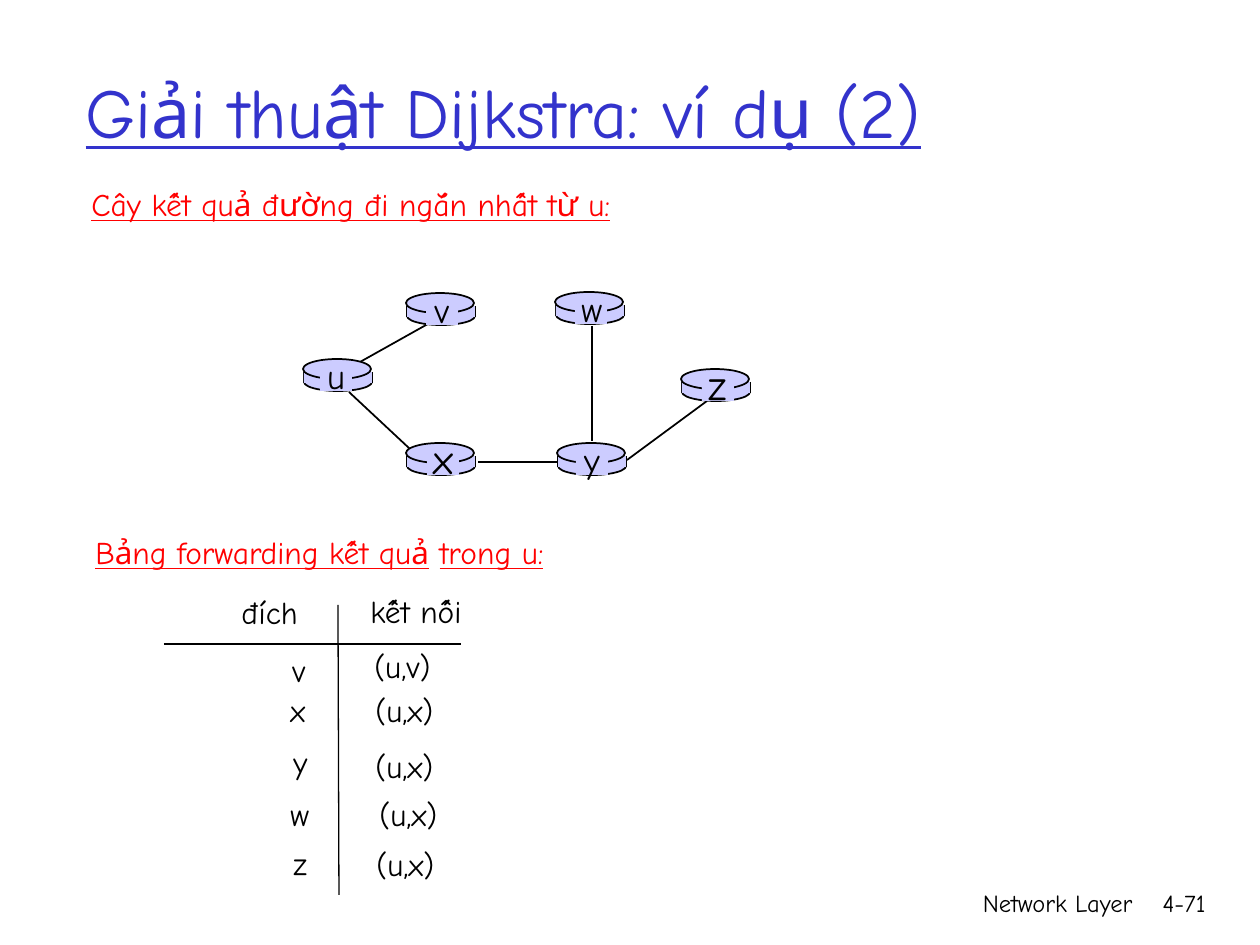
from pptx import Presentation
from pptx.dml.color import RGBColor
from pptx.enum.shapes import MSO_CONNECTOR, MSO_SHAPE
from pptx.enum.text import MSO_ANCHOR, MSO_AUTO_SIZE, PP_ALIGN
from pptx.oxml.ns import qn
from pptx.util import Pt
from lxml.etree import SubElement

PX = 914400 / 126
FONT = "Comic Neue"
BLACK = RGBColor(0x00, 0x00, 0x00)
BLUE = RGBColor(0x33, 0x33, 0xCC)
RED = RGBColor(0xFF, 0x00, 0x00)
LAVENDER = RGBColor(0xCC, 0xCC, 0xFF)

presentation = Presentation()
presentation.slide_width = round(1260 * PX)
presentation.slide_height = round(945 * PX)
slide = presentation.slides.add_slide(presentation.slide_layouts[5])


def add_text(box, pieces, size, color=BLACK, align=PP_ALIGN.LEFT, wrap=True, grow=True):
    """Write the pieces on one line; red headings are underlined except for gaps."""
    shape = slide.shapes.add_textbox(*(round(value * PX) for value in box))
    text_frame = shape.text_frame
    text_frame.word_wrap = wrap
    text_frame.auto_size = MSO_AUTO_SIZE.SHAPE_TO_FIT_TEXT if grow else MSO_AUTO_SIZE.NONE
    paragraph = text_frame.paragraphs[0]
    paragraph.alignment = align
    for piece in pieces:
        run = paragraph.add_run()
        run.text = piece
        run.font.name = FONT
        run.font.size = Pt(size)
        run.font.color.rgb = color
        if color == RED and piece.strip():
            run.font.underline = True


def add_line(points, width):
    connector = slide.shapes.add_connector(
        MSO_CONNECTOR.STRAIGHT, *(round(value * PX) for value in points))
    connector.line.color.rgb = BLACK
    connector.line.width = Pt(width)
    SubElement(connector._element.spPr, qn("a:effectLst"))


# Title
title = slide.shapes.title
title.left, title.top, title.width, title.height = (
    round(value * PX) for value in (73, 32, 1071, 158))
title.text_frame.text = "Giải thuật Dijkstra: ví dụ (2)"
title.text_frame.auto_size = MSO_AUTO_SIZE.NONE
title.text_frame.vertical_anchor = MSO_ANCHOR.MIDDLE
paragraph = title.text_frame.paragraphs[0]
paragraph.alignment = PP_ALIGN.LEFT
font = paragraph.runs[0].font
font.name = FONT
font.size = Pt(40)
font.underline = True
font.color.rgb = BLUE

# Footer
add_text((746, 882, 399, 63), ["Network Layer"], 14, align=PP_ALIGN.RIGHT, grow=False)
add_text((1125, 882, 93, 63), ["4-71"], 14, align=PP_ALIGN.RIGHT, grow=False)

# Headings
add_text((79, 179, 544, 50), ["Cây kết quả đường đi ngắn nhất từ u:"], 18, RED)
add_text((83, 527, 476, 50), ["Bảng forwarding kết quả", " ", "trong u:"], 18, RED)

# Shortest-path tree: links
links = [
    (360, 362, 435, 320),  # u-v
    (592, 326, 592, 441),  # w-y
    (627, 460, 707, 401),  # y-z
    (558, 462, 478, 462),  # y-x
    (410, 449, 349, 392),  # x-u
]
for link in links:
    add_line(link, 1)

# Shortest-path tree: routers as name, body left, body top, label centre, label size
routers = [
    ("u", 304, 372, 336, 20),
    ("x", 407, 456, 443, 24),
    ("v", 407, 306, 442, 20),
    ("w", 556, 305, 591, 20),
    ("y", 558, 456, 592, 20),
    ("z", 682, 382, 718, 24),
]
for name, left, top, center, size in routers:
    for side in (left, left + 68):
        add_line((side, top, side, top + 11), 1)
    parts = [
        (MSO_SHAPE.OVAL, (left, top + 1, 68, 18), True),
        (MSO_SHAPE.RECTANGLE, (left, top, 68, 11), False),
        (MSO_SHAPE.OVAL, (left - 1, top - 13, 68, 20), True),
        (MSO_SHAPE.RECTANGLE, (center - 16, top - 10, 32, 29), False),
    ]
    for kind, box, outlined in parts:
        shape = slide.shapes.add_shape(kind, *(round(value * PX) for value in box))
        shape.shadow.inherit = False
        shape.fill.solid()
        shape.fill.fore_color.rgb = LAVENDER
        if outlined:
            shape.line.color.rgb = BLACK
            shape.line.width = Pt(1)
        else:
            shape.line.fill.background()
    rise, height = (24, 55) if size == 20 else (30, 63)
    add_text((center - 22, top - rise, 44, height), [name], size,
             align=PP_ALIGN.CENTER, wrap=False)

# Forwarding table: rules
add_line((338, 605, 339, 895), 0.75)
add_line((164, 644, 461, 644), 0.75)

# Forwarding table: header and rows, each cell as text, left, top
add_text((229, 587, 82, 50), ["đích"], 18)
add_text((358, 586, 117, 50), ["kết nối"], 18)
rows = [
    (("v", 280, 645), ("(u,v)", 362, 641)),
    (("x", 278, 685), ("(u,x)", 363, 685)),
    (("y", 281, 737), ("(u,x)", 363, 741)),
    (("w", 278, 789), ("(u,x)", 367, 789)),
    (("z", 281, 838), ("(u,x)", 364, 839)),
]
for row in rows:
    for (text, left, top), width in zip(row, (44, 83)):
        add_text((left, top, width, 50), [text], 18)

presentation.save("out.pptx")
